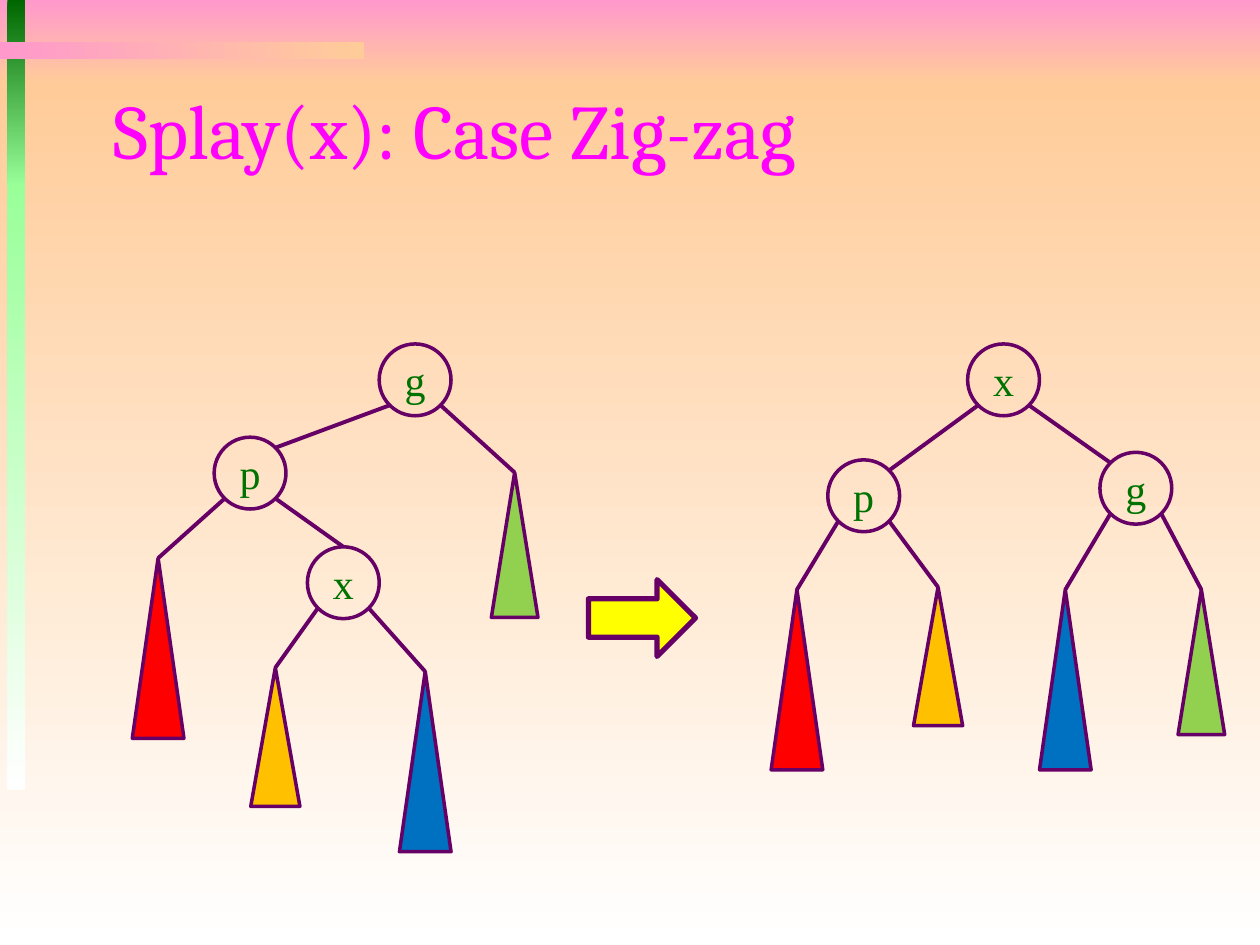
"""Build a slide showing the zig-zag case of the splay operation."""
from math import sqrt

from lxml.etree import SubElement
from pptx import Presentation
from pptx.dml.color import RGBColor
from pptx.enum.shapes import MSO_CONNECTOR, MSO_SHAPE
from pptx.enum.text import MSO_ANCHOR, PP_ALIGN
from pptx.oxml.ns import qn
from pptx.util import Inches, Pt

COLORS = {
    "title": "FF00FF", "label": "007200", "outline": "660066", "arrow": "FFFF00",
    "red": "FF0000", "orange": "FFC000", "blue": "0070C0", "green": "92D050",
    "pink": "FF99CC", "peach": "FFCC99", "white": "FFFFFF",
    "forest": "006600", "mint": "99FF99",
}
TITLE = "Splay(x): Case Zig-zag"
TITLE_BOX = (0.8, 0.57, 8.5, 0.9)
ARROW_BOX = (4.67, 4.6, 0.85, 0.61)
DOWN, ACROSS = 270, 0
BANDS = [
    ((0, 0, 10, 0.67), "pink", "peach", DOWN),
    ((0, 0.67, 10, 6.83), "peach", "white", DOWN),
    ((0.06, 0, 0.14, 1.48), "forest", "mint", DOWN),
    ((0.06, 1.46, 0.14, 4.81), "mint", "white", DOWN),
    ((0, 0.33, 2.89, 0.14), "pink", "peach", ACROSS),
]
NODE_SIZE = 0.57
SUBTREE_SIZES = {"red": (0.41, 1.43), "orange": (0.39, 1.1),
                 "blue": (0.41, 1.43), "green": (0.37, 1.15)}
TREES = [
    {
        "nodes": {"g": (3.01, 2.73), "p": (1.7, 3.47), "x": (2.44, 4.34)},
        "subtrees": {"red": (1.05, 4.43), "orange": (1.99, 5.3),
                     "blue": (3.17, 5.33), "green": (3.9, 3.75)},
        "children": {"g": ("p", "green"), "p": ("red", "x"), "x": ("orange", "blue")},
        "joined_at_top": ("x",),
    },
    {
        "nodes": {"x": (7.68, 2.73), "p": (6.57, 3.65), "g": (8.73, 3.59)},
        "subtrees": {"red": (6.12, 4.68), "orange": (7.25, 4.66),
                     "blue": (8.25, 4.68), "green": (9.35, 4.68)},
        "children": {"x": ("p", "g"), "p": ("red", "orange"), "g": ("blue", "green")},
        "joined_at_top": (),
    },
]


def color(name):
    return RGBColor.from_string(COLORS[name])


def write_text(shape, text, *, font, size, color_name, align, wrap):
    frame = shape.text_frame
    frame.word_wrap = wrap
    frame.vertical_anchor = MSO_ANCHOR.MIDDLE
    frame.margin_left = frame.margin_right = Inches(0.1)
    frame.margin_top = frame.margin_bottom = Inches(0.05)
    paragraph = frame.paragraphs[0]
    paragraph.alignment = align
    run = paragraph.add_run()
    run.text = text
    run.font.name = font
    run.font.size = Pt(size)
    run.font.color.rgb = color(color_name)


def add_figure(slide, kind, box, fill=None, line_width=2):
    shape = slide.shapes.add_shape(kind, *map(Inches, box))
    shape.shadow.inherit = False
    if fill:
        shape.fill.solid()
        shape.fill.fore_color.rgb = color(fill)
    else:
        shape.fill.background()
    if line_width:
        shape.line.color.rgb = color("outline")
        shape.line.width = Pt(line_width)
    else:
        shape.line.fill.background()
    return shape


def add_band(slide, box, start, end, angle):
    band = add_figure(slide, MSO_SHAPE.RECTANGLE, box, line_width=0)
    band.fill.gradient()
    band.fill.gradient_angle = angle
    for stop, name in zip(band.fill.gradient_stops, (start, end)):
        stop.color.rgb = color(name)


def rim_point(node, horizontal, vertical):
    """Return the diagonal point on a circle; directions are -1 or 1."""
    reach = node.width / 2 / sqrt(2)
    return (int(node.left + node.width / 2 + horizontal * reach),
            int(node.top + node.height / 2 + vertical * reach))


def add_edge(slide, parent, child, side, at_top):
    start = rim_point(parent, side, 1)
    end = rim_point(child, -side, -1)
    edge = slide.shapes.add_connector(MSO_CONNECTOR.STRAIGHT, *start, *end)
    if at_top:
        edge.end_connect(child, 0)
    edge.line.color.rgb = color("outline")
    edge.line.width = Pt(2.25)
    SubElement(edge._element.spPr, qn("a:effectLst"))


def add_tree(slide, tree):
    parts = {}
    for label, position in tree["nodes"].items():
        node = add_figure(slide, MSO_SHAPE.OVAL, (*position, NODE_SIZE, NODE_SIZE))
        write_text(node, label, font="Times New Roman", size=24,
                   color_name="label", align=PP_ALIGN.CENTER, wrap=False)
        parts[label] = node
    for name, position in tree["subtrees"].items():
        box = (*position, *SUBTREE_SIZES[name])
        parts[name] = add_figure(slide, MSO_SHAPE.ISOSCELES_TRIANGLE, box, name)
    for parent, children in tree["children"].items():
        for side, child in zip((-1, 1), children):
            at_top = child in tree["subtrees"] or child in tree["joined_at_top"]
            add_edge(slide, parts[parent], parts[child], side, at_top)


def main():
    presentation = Presentation()
    presentation.slide_width, presentation.slide_height = Inches(10), Inches(7.5)
    slide = presentation.slides.add_slide(presentation.slide_layouts[5])
    for band in BANDS:
        add_band(slide, *band)
    title = slide.shapes.title
    title.left, title.top, title.width, title.height = map(Inches, TITLE_BOX)
    write_text(title, TITLE, font="Cambria", size=44,
               color_name="title", align=PP_ALIGN.LEFT, wrap=True)
    slide.shapes._spTree.append(title._element)
    for tree in TREES:
        add_tree(slide, tree)
    add_figure(slide, MSO_SHAPE.RIGHT_ARROW, ARROW_BOX, "arrow", line_width=3)
    presentation.save("out.pptx")


if __name__ == "__main__":
    main()
